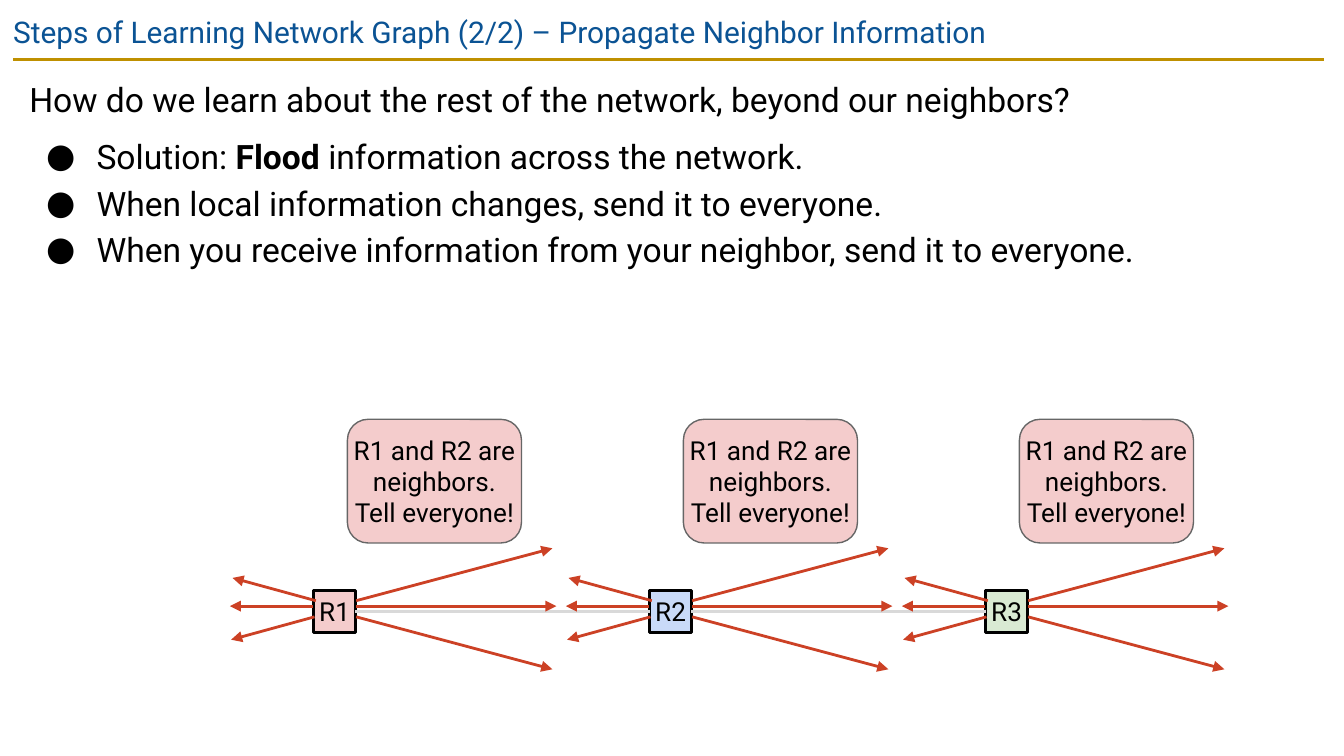
"""Builds the slide on flooding neighbor information through a network."""
from lxml.etree import SubElement
from pptx import Presentation
from pptx.dml.color import RGBColor as RGB
from pptx.enum.shapes import MSO_CONNECTOR as Conn, MSO_SHAPE as Kind
from pptx.enum.text import MSO_ANCHOR as Anchor, PP_ALIGN as Align
from pptx.oxml.ns import qn
from pptx.util import Pt

PX = 4572
FONT = "Roboto"
COLORS = {
    "title": "0B5394", "rule": "BF9000", "text": "000000", "link": "D9D9D9",
    "flood": "CC4125", "edge": "666666", "pink": "F4CCCC", "blue": "C9DAF8",
    "green": "D9EAD3",
}
LINES = [
    "How do we learn about the rest of the network, beyond our neighbors?",
    "Solution: *Flood* information across the network.",
    "When local information changes, send it to everyone.",
    "When you receive information from your neighbor, send it to everyone.",
]
RAYS = [
    (1, 918, -123, 952), (-1, 902, -125, 902), (3, 894, -121, 860),
    (63, 894, 355, 816), (63, 918, 355, 996), (63, 902, 361, 902),
]
STEP = 500


def color(name):
    """Return the named color."""
    return RGB.from_string(COLORS[name])


def write(para, text, size=14, tint="text", align=Align.LEFT, gap=0, space=None, dot=None):
    """Fill a paragraph, with the parts between asterisks in bold."""
    para.alignment, para.space_before, para.line_spacing = align, Pt(gap), space
    if dot:
        props = para._p.get_or_add_pPr()
        props.set("marL", str(100 * PX))
        props.set("indent", str(-75 * PX))
        shade = SubElement(props, qn("a:buClr"))
        SubElement(shade, qn("a:srgbClr")).set("val", COLORS[tint])
        SubElement(props, qn("a:buFont")).set("typeface", FONT)
        SubElement(props, qn("a:buChar")).set("char", dot)
    for num, part in enumerate(text.split("*")):
        run = para.add_run()
        run.text = part
        run.font.name, run.font.size, run.font.bold = FONT, Pt(size), num % 2 == 1
        run.font.color.rgb = color(tint)


class Deck:
    """Holds the style and the current slide."""

    def __init__(self, width, height):
        """Start a deck with one blank slide."""
        self.prs = Presentation()
        self.prs.slide_width, self.prs.slide_height = width * PX, height * PX
        self.slide = self.prs.slides.add_slide(self.prs.slide_layouts[6])
        self.shapes = self.slide.shapes

    def frame(self, shape, inset):
        """Return the wrapped text frame of a shape with even insets."""
        frame = shape.text_frame
        frame.word_wrap = True
        frame.margin_left = frame.margin_right = inset * PX
        frame.margin_top = frame.margin_bottom = inset * PX
        return frame

    def text(self, left, top, width, height):
        """Add a text box and return its frame."""
        box = self.shapes.add_textbox(left * PX, top * PX, width * PX, height * PX)
        return self.frame(box, 20)

    def box(self, kind, left, top, width, height, text, fill, edge="text", weight=1.5):
        """Add a filled shape with centered text."""
        shape = self.shapes.add_shape(kind, left * PX, top * PX, width * PX, height * PX)
        shape.shadow.inherit = False
        shape.fill.solid()
        shape.fill.fore_color.rgb = color(fill)
        shape.line.color.rgb, shape.line.width = color(edge), Pt(weight)
        frame = self.frame(shape, 0)
        frame.vertical_anchor = Anchor.MIDDLE
        write(frame.paragraphs[0], text, align=Align.CENTER)
        return shape

    def line(self, x1, y1, x2, y2, tint, head=False):
        """Add a straight line, with an arrowhead at its end if asked."""
        line = self.shapes.add_connector(Conn.STRAIGHT, x1 * PX, y1 * PX, x2 * PX, y2 * PX)
        line.line.color.rgb, line.line.width = color(tint), Pt(1.5)
        if head:
            SubElement(line.line._get_or_add_ln(), qn("a:tailEnd")).set("type", "triangle")
        SubElement(line._element.spPr, qn("a:effectLst"))
        return line

    def link(self, start, end):
        """Join the left side of one box to the right side of another."""
        line = self.line(0, 0, 1, 1, "link")
        line.begin_connect(start, 1)
        line.end_connect(end, 3)


def main():
    """Build and save the slide."""
    deck = Deck(2000, 1125)
    deck.line(20, 88, 1970, 88, "rule")
    title = deck.text(0, 0, 2000, 86)
    write(title.paragraphs[0], size=16, tint="title",
          text="Steps of Learning Network Graph (2/2) – Propagate Neighbor Information")

    body = deck.text(24, 88, 1948, 376)
    for num, text in enumerate(LINES):
        para = body.add_paragraph() if num else body.paragraphs[0]
        write(para, text, size=18, space=1.15, gap=6 if num == 1 else 0,
              dot="●" if num else None)

    nodes = [deck.box(Kind.RECTANGLE, 467 + STEP * num, 879, 62, 62, f"R{num + 1}", fill)
             for num, fill in enumerate(("pink", "blue", "green"))]
    for near, far in zip(nodes, nodes[1:]):
        deck.link(far, near)

    for num in range(len(nodes)):
        left = 467 + STEP * num
        for x1, y1, x2, y2 in RAYS:
            deck.line(left + x1, y1, left + x2, y2, "flood", head=True)
        deck.box(Kind.ROUNDED_RECTANGLE, left + 50, 624, 259, 184,
                 "R1 and R2 are neighbors. Tell everyone!", "pink", "edge", 0.75)

    deck.prs.save("out.pptx")


if __name__ == "__main__":
    main()
